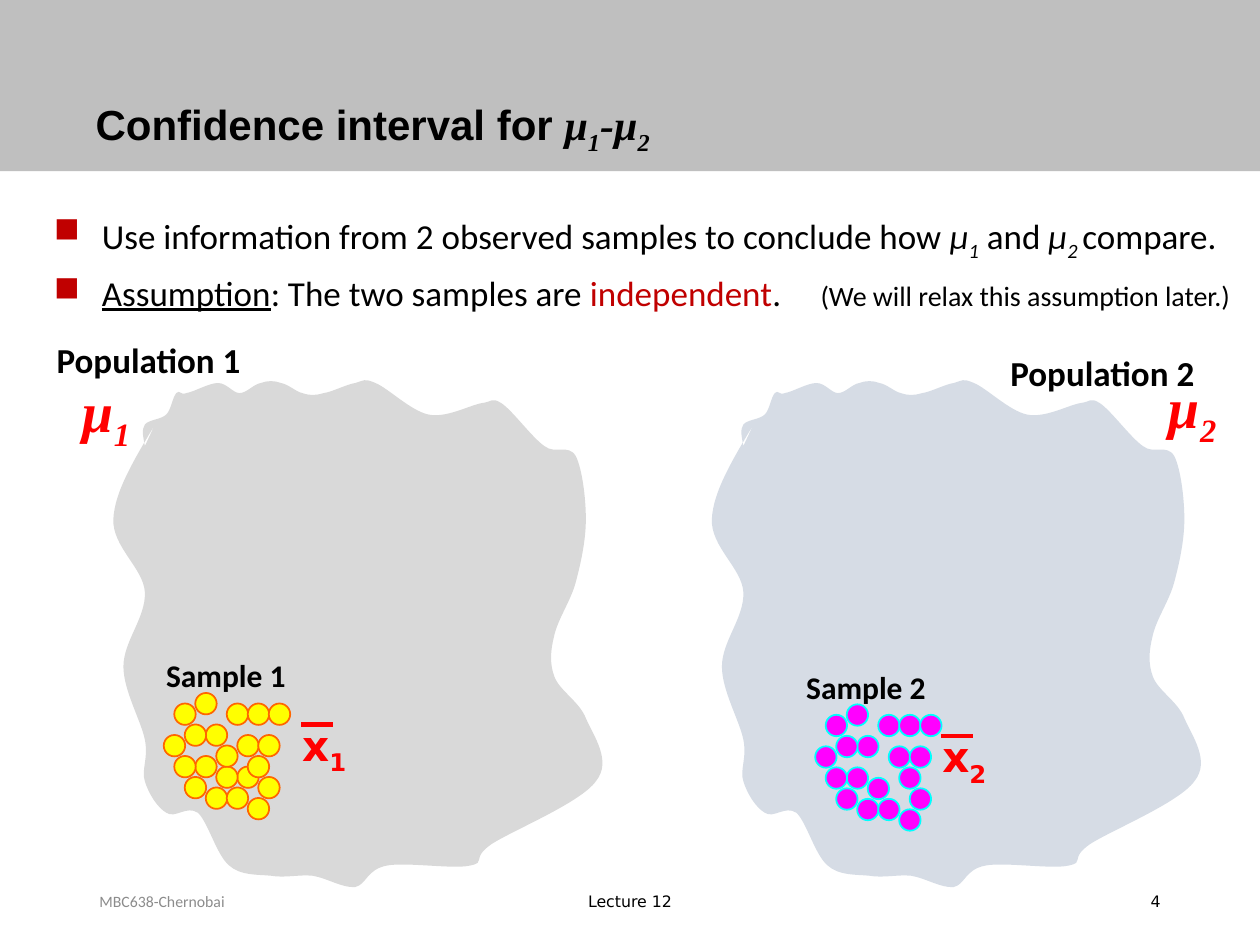
import dataclasses

import pptx
import pptx.dml.color
import pptx.enum.shapes
import pptx.enum.text
import pptx.oxml
import pptx.oxml.ns
import pptx.oxml.xmlchemy
import pptx.util

EMU_PER_PX = 9144  # 100 px to the inch


@dataclasses.dataclass(frozen=True)
class Theme:
    header: str = "BFBFBF"
    text: str = "000000"
    muted: str = "8C8C8C"
    accent: str = "C00000"
    symbol: str = "FF0000"
    sans: str = "Calibri"
    heading: str = "Arial"
    serif: str = "Times New Roman"
    plain: str = "DejaVu Sans"
    title_size: int = 24
    body_size: int = 20
    note_size: int = 16
    sample_size: int = 18
    mean_size: int = 24
    parameter_size: int = 32
    footer_size: int = 9


THEME = Theme()
ALIGN = pptx.enum.text.PP_ALIGN
ANCHOR = pptx.enum.text.MSO_ANCHOR

# Cubic curves: two control points and an end point in each row.
OUTLINE_START = (34, 37)
OUTLINE_CURVES = [
    (18, 64, 2, 90, 1, 112), (0, 134, 25, 151, 26, 170),
    (27, 190, 9, 209, 9, 229), (9, 248, 23, 272, 26, 287),
    (29, 302, 23, 311, 26, 320), (29, 330, 36, 341, 43, 345),
    (50, 350, 59, 339, 68, 345), (76, 352, 83, 379, 93, 387),
    (102, 395, 115, 394, 126, 395), (137, 397, 148, 394, 159, 395),
    (171, 397, 183, 405, 193, 404), (202, 402, 202, 390, 218, 387),
    (233, 384, 271, 390, 284, 387), (298, 384, 284, 382, 301, 370),
    (318, 359, 372, 337, 384, 320), (397, 304, 382, 284, 376, 270),
    (371, 257, 355, 248, 351, 237), (347, 226, 348, 216, 351, 204),
    (354, 191, 364, 177, 368, 162), (372, 147, 376, 129, 376, 112),
    (376, 95, 373, 72, 368, 62), (362, 52, 352, 61, 343, 54),
    (333, 47, 318, 26, 309, 20), (301, 15, 302, 19, 293, 20),
    (283, 22, 265, 32, 251, 29), (237, 26, 219, 8, 209, 4),
    (200, 0, 200, 2, 193, 4), (186, 5, 175, 11, 168, 12),
    (161, 14, 157, 14, 151, 12), (146, 11, 140, 5, 134, 4),
    (129, 2, 123, 2, 118, 4), (112, 5, 107, 12, 101, 12),
    (96, 12, 91, 4, 84, 4), (77, 4, 65, 11, 59, 12),
    (54, 14, 54, 9, 51, 12), (48, 15, 47, 25, 43, 29),
    (39, 33, 29, 33, 26, 37), (23, 41, 25, 48, 26, 54),
]

# Column and row of each dot, in half dots.
DOT_SIZE = 17
DOT_CELLS = [
    (3, 0), (6, 1), (4, 3), (7, 4), (8, 1), (9, 4), (7, 7), (3, 6), (2, 3), (1, 1), (0, 4),
    (1, 6), (5, 7), (4, 9), (6, 9), (8, 6), (9, 8), (8, 10), (2, 8), (10, 1), (5, 5),
]


def px(length):
    return pptx.util.Emu(round(length * EMU_PER_PX))


def rgb(colour):
    return pptx.dml.color.RGBColor.from_string(colour)


def paint(shape, fill, line=None):
    shape.shadow.inherit = False
    shape.fill.solid()
    shape.fill.fore_color.rgb = rgb(fill)
    if line:
        shape.line.color.rgb = rgb(line)
        shape.line.width = pptx.util.Pt(1)
    else:
        shape.line.fill.background()


def add_runs(paragraph, runs, **common):
    """Add (text, format) pairs; each format overrides the common one."""
    for text, own in runs:
        style = {"font": THEME.sans, "colour": THEME.text, **common, **own}
        run = paragraph.add_run()
        run.text = text
        run.font.name = style["font"]
        run.font.size = pptx.util.Pt(style["size"])
        run.font.color.rgb = rgb(style["colour"])
        run.font.bold = style.get("bold", False)
        run.font.italic = style.get("italic", False)
        run.font.underline = style.get("underline", False)
        properties = run._r.get_or_add_rPr()
        if style.get("subscript"):
            properties.set("baseline", "-25000")
        if "spacing" in style:
            properties.set("spc", str(style["spacing"] * 100))


def add_text(slide, box, runs, align=ALIGN.LEFT, anchor=ANCHOR.TOP, **common):
    frame = slide.shapes.add_textbox(*map(px, box)).text_frame
    frame.word_wrap = True
    frame.vertical_anchor = anchor
    paragraph = frame.paragraphs[0]
    paragraph.alignment = align
    add_runs(paragraph, runs, **common)
    return frame


def indexed(symbol, index):
    return [(symbol, {}), (index, {"subscript": True})]


def add_header(slide, left, top, width, height):
    band = slide.shapes.add_shape(pptx.enum.shapes.MSO_SHAPE.RECTANGLE,
                                  *map(px, (left, top, width, height)))
    paint(band, THEME.header)
    symbol = {"font": THEME.serif, "italic": True}
    subscript = {**symbol, "subscript": True}
    frame = add_text(slide, (left + 66, top + 27, 862, 145), [
        ("Confidence interval for ", {}), ("μ", symbol), ("1", subscript),
        ("-μ", symbol), ("2", subscript),
    ], anchor=ANCHOR.MIDDLE, font=THEME.heading, size=THEME.title_size, bold=True)
    frame.paragraphs[0].line_spacing = 0.9


def format_bullet(paragraph):
    paragraph.line_spacing = 0.9
    properties = paragraph._p.get_or_add_pPr()
    properties.set("marL", str(px(38)))
    properties.set("indent", str(px(-38)))
    colour = pptx.oxml.xmlchemy.OxmlElement("a:buClr")
    value = pptx.oxml.xmlchemy.OxmlElement("a:srgbClr")
    value.set("val", THEME.accent)
    colour.append(value)
    bullet = pptx.oxml.xmlchemy.OxmlElement("a:buChar")
    bullet.set("char", "■")
    properties.extend([colour, bullet])


def add_bullets(slide, *box):
    symbol, subscript = {"italic": True}, {"italic": True, "subscript": True}
    frame = add_text(slide, box, [
        ("Use information from 2 observed samples to conclude how ", {}),
        ("µ", symbol), ("1", subscript), (" and ", {}),
        ("µ", symbol), ("2 ", subscript), ("compare.", {}),
    ], size=THEME.body_size)
    assumption = frame.add_paragraph()
    add_runs(assumption, [
        ("Assumption", {"underline": True}), (": The two samples are ", {}),
        ("independent", {"colour": THEME.accent}), (".", {}), (" ", {"spacing": 18}),
        ("(We will relax this assumption later.)", {"size": THEME.note_size}),
    ], size=THEME.body_size)
    assumption.space_before = pptx.util.Pt(THEME.body_size / 2)
    for paragraph in frame.paragraphs:
        format_bullet(paragraph)


def add_population(slide, left, top, fill, index, name_box, parameter_box):
    """Draw a curved region with its name and parameter, boxes being relative to it."""
    points = [row[i:i + 2] for row in OUTLINE_CURVES for i in (0, 2, 4)]
    builder = slide.shapes.build_freeform(*OUTLINE_START, scale=EMU_PER_PX)
    builder.add_line_segments(points, close=False)
    region = builder.convert_to_shape(px(left), px(top))
    segments = list(region._element.iter(pptx.oxml.ns.qn("a:lnTo")))
    for first in range(0, len(segments), 3):
        curve = pptx.oxml.xmlchemy.OxmlElement("a:cubicBezTo")
        segments[first].addprevious(curve)
        for segment in segments[first:first + 3]:
            curve.append(segment[0])
            segment.getparent().remove(segment)
    paint(region, fill)

    def place(box):
        return (left + box[0], top + box[1], *box[2:])

    add_text(slide, place(name_box), [(f"Population {index}", {})],
             size=THEME.body_size, bold=True)
    add_text(slide, place(parameter_box), indexed("µ", index), font=THEME.serif,
             size=THEME.parameter_size, colour=THEME.symbol, bold=True, italic=True)


def add_sample(slide, left, top, index, dots_left, fill, line, absent=()):
    """Draw a cluster of dots with its name and its mean."""
    add_text(slide, (left, top, 167, 40), [(f"Sample {index}", {})],
             size=THEME.sample_size, bold=True)
    add_text(slide, (left + 108, top + 50, 92, 50), indexed("x", index), font=THEME.plain,
             size=THEME.mean_size, colour=THEME.symbol, bold=True)
    bar = slide.shapes.add_connector(pptx.enum.shapes.MSO_CONNECTOR.STRAIGHT, *map(
        px, (left + 117, top + 59, left + 142, top + 59)))
    bar.line.color.rgb = rgb(THEME.symbol)
    bar.line.width = pptx.util.Pt(2.5)
    bar._element.spPr.append(pptx.oxml.xmlchemy.OxmlElement("a:effectLst"))
    step = 25 / 3
    for column, row in DOT_CELLS:
        if (column, row) not in absent:
            dot = slide.shapes.add_shape(
                pptx.enum.shapes.MSO_SHAPE.OVAL, px(left + dots_left + column * step),
                px(top + 34 + row * step), px(DOT_SIZE), px(DOT_SIZE))
            paint(dot, fill, line)


def add_footer(slide, top, height):
    for left, width, text, align, style in (
        (69, 225, "MBC638-Chernobai", ALIGN.LEFT, {"colour": THEME.muted}),
        (331, 338, "Lecture 12", ALIGN.CENTER, {"font": THEME.plain}),
        (706, 225, "4", ALIGN.RIGHT, {"font": THEME.plain}),
    ):
        add_text(slide, (left, top, width, height), [(text, style)], align,
                 ANCHOR.MIDDLE, size=THEME.footer_size)


def main():
    presentation = pptx.Presentation()
    presentation.slide_width, presentation.slide_height = px(1000), px(750)
    slide = presentation.slides.add_slide(presentation.slide_layouts[6])
    add_header(slide, 0, 0, 1000, 136)
    add_population(slide, 89, 300, "D9D9D9", "1", (-54, -36, 258, 44), (-34, -6, 92, 63))
    add_population(slide, 564, 300, "D6DCE5", "2", (228, -26, 191, 44), (353, -9, 74, 63))
    add_bullets(slide, 33, 166, 958, 88)
    add_sample(slide, 122, 516, "1", 8, "FFFF00", "FF6600")
    add_sample(slide, 630, 525, "2", 17, "FF00FF", "00FFFF", absent=((7, 7), (5, 5)))
    add_footer(slide, 695, 40)
    presentation.save("out.pptx")


if __name__ == "__main__":
    main()
